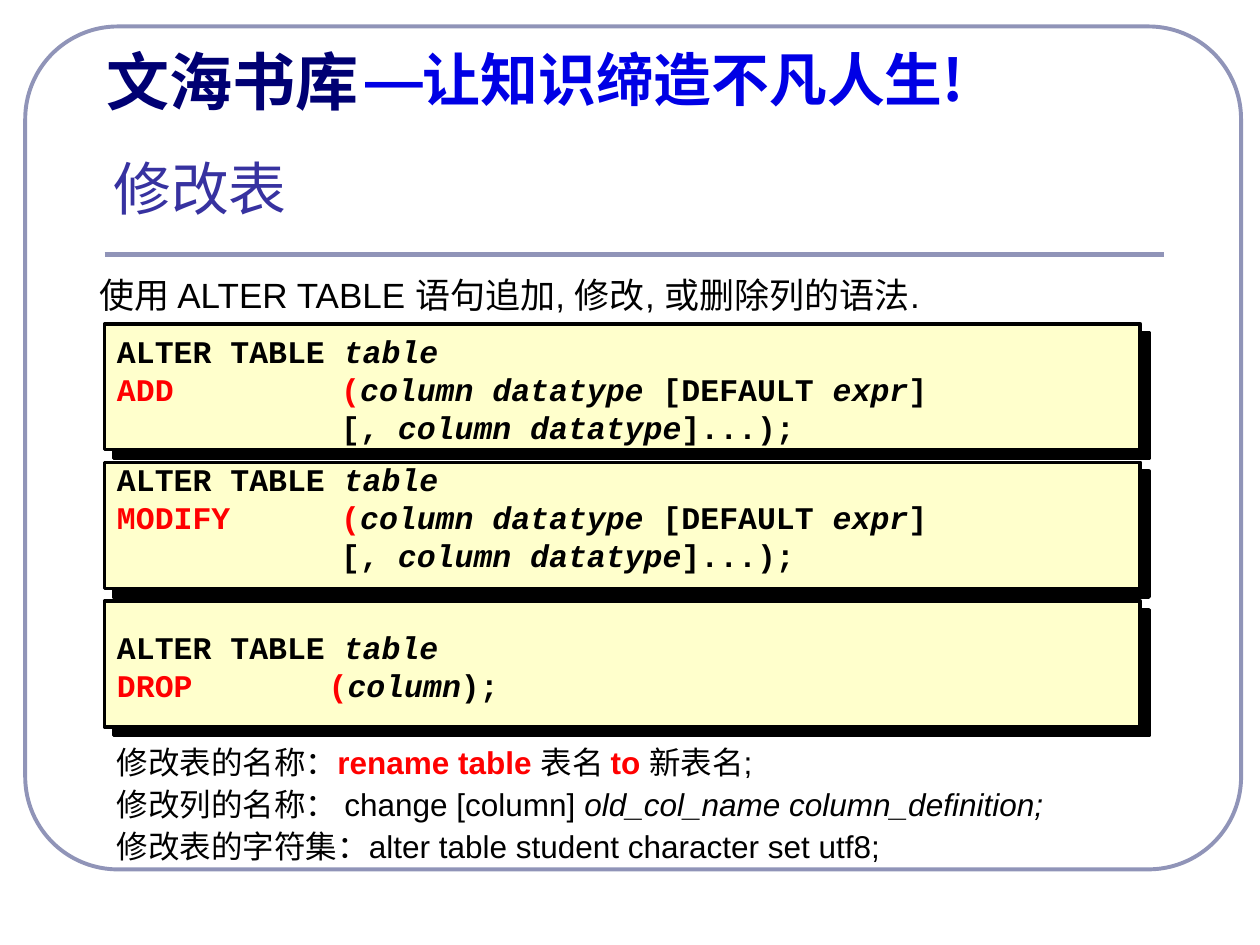
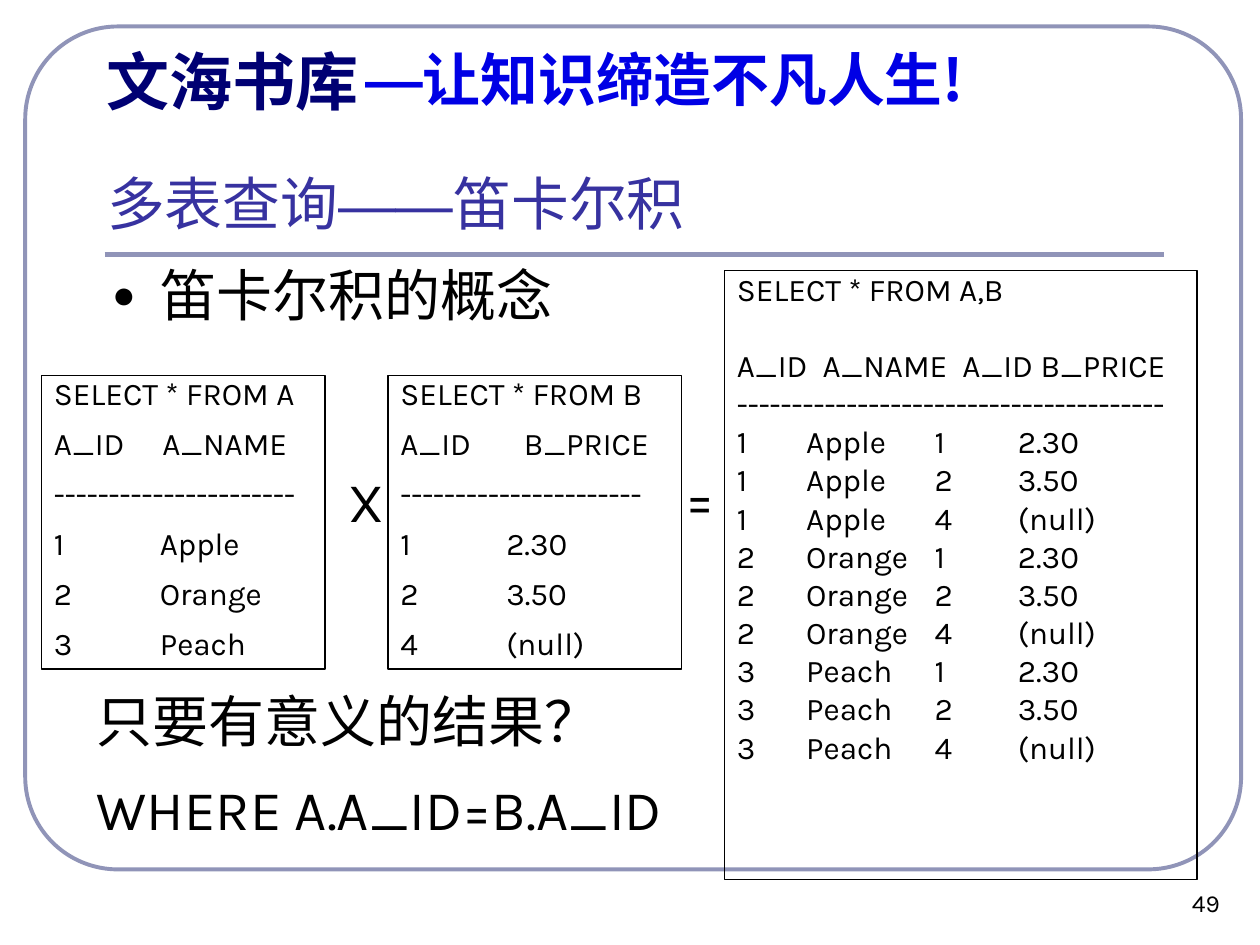
from lxml.etree import SubElement
from pptx import Presentation
from pptx.dml.color import RGBColor
from pptx.enum.shapes import MSO_CONNECTOR as LINE, MSO_SHAPE as SHAPE
from pptx.enum.text import MSO_ANCHOR as ANCHOR, MSO_AUTO_SIZE as FIT, PP_ALIGN as ALIGN
from pptx.oxml.ns import qn
from pptx.util import Inches, Pt

COLORS = {
    "band": "9094B8", "slogan": "0000E5", "name": "000073", "title": "3732A0",
    "text": "000000", "key": "FF0000", "panel": "FFFFCC",
}
CJK, SANS, CODE, BODY, HEAD = "Noto Sans CJK SC", "Arial", "Courier New", "Karla", "Montserrat"

# Shared header
NAME = "文海书库"
SLOGAN = [("—", {"font": HEAD, "ea": HEAD}), "让知识缔造不凡人生!"]

# Styles for single runs
KEY = {"color": "key"}
BOLD = {"color": "key", "bold": True}
ITAL = {"italic": True}
DASH = {"font": SANS, "ea": SANS}

# Slide 1: altering a table
ALTER = "修改表"
INTRO = "使用 ALTER TABLE 语句追加, 修改, 或删除列的语法."
FIRST = ["ALTER TABLE ", ("table", ITAL)]
COLUMN = [("column datatype ", ITAL), "[DEFAULT ", ("expr", ITAL), "]"]
MORE = ["\t[, ", ("column datatype", ITAL), "]...);"]
# panel top, code top, tab stop, lines
PANELS = [
    (2.57, 2.57, 1.78, [FIRST, [("ADD\t(", KEY), *COLUMN], MORE]),
    (3.67, 3.59, 1.78, [FIRST, [("MODIFY\t(", KEY), *COLUMN], MORE]),
    (4.77, 4.77, 1.68, [FIRST, [("DROP\t(", KEY), ("column", ITAL), ");"]]),
]
RENAMES = [
    ["修改表的名称：", ("rename table ", BOLD), "表名 ", ("to ", BOLD), "新表名;"],
    ["修改列的名称： change [column] ", ("old_col_name column_definition;", ITAL)],
    ["修改表的字符集：alter table student character set utf8;"],
]

# Slide 2: Cartesian product
PRODUCT = ["多表查询", ("——", DASH), "笛卡尔积"]
CONCEPT = "笛卡尔积的概念"
QUESTION = ["只要有意义的结果？", "WHERE A.A_ID=B.A_ID"]
FRUITS = [("1", "Apple"), ("2", "Orange"), ("3", "Peach")]
PRICES = [("1", "2.30"), ("2", "3.50"), ("4", "(null)")]
PAIRS = [fruit + price for fruit in FRUITS for price in PRICES]
# box, query, header, rows, rule length, header tabs, row tabs, space before, header space
RESULTS = [
    ((0.33, 2.98, 2.25, 2.33), "SELECT * FROM A", ("A_ID", "A_NAME"), FRUITS,
     22, [0.86], [0.84], 11.2, 11.2),
    ((3.08, 2.98, 2.33, 2.33), "SELECT * FROM B", ("A_ID", "B_PRICE"), PRICES,
     22, [0.98], [0.84], 11.2, 11.2),
    ((5.75, 2.15, 3.75, 4.83), "SELECT * FROM A,B", ("A_ID", "A_NAME", "A_ID", "B_PRICE"),
     PAIRS, 39, [0.68, 1.79, 2.41], [0.55, 1.57, 2.23], 4.5, 26.3),
]
SIGNS = [("X", 2.67, 3.76), ("=", 5.34, 3.73)]
PAGE = "49"


def rgb(name):
    return RGBColor.from_string(COLORS[name])


def place(shape, box):
    shape.left, shape.top, shape.width, shape.height = map(Inches, box)


def style(run, size, font, color="text", bold=False, italic=False, ea=CJK):
    face = run.font
    face.size, face.name, face.bold, face.italic = Pt(size), font, bold, italic
    face.color.rgb = rgb(color)
    SubElement(face._element, qn("a:ea"), typeface=ea)


def add_tabs(para, stops):
    tabs = SubElement(para._p.get_or_add_pPr(), qn("a:tabLst"))
    for stop in stops:
        SubElement(tabs, qn("a:tab"), pos=str(Inches(stop)), algn="l")


def add_bullet(para, char, indent):
    props = para._p.get_or_add_pPr()
    props.set("marL", str(Inches(indent)))
    props.set("indent", str(-Inches(indent)))
    SubElement(SubElement(props, qn("a:buClr")), qn("a:srgbClr"), val=COLORS["text"])
    SubElement(props, qn("a:buSzPct"), val="70000")
    SubElement(props, qn("a:buFont"), typeface=SANS)
    SubElement(props, qn("a:buChar"), char=char)


def write(shape, paras, size, font, color="text", bold=False, lead=1.0, gap=0,
          anchor=ANCHOR.TOP, align=ALIGN.LEFT, tabs=()):
    """Fill a shape; a paragraph is a string or a list of strings and (text, style) runs."""
    frame = shape.text_frame
    frame.word_wrap, frame.auto_size, frame.vertical_anchor = True, FIT.NONE, anchor
    for i, runs in enumerate(paras):
        para = frame.add_paragraph() if i else frame.paragraphs[0]
        if tabs:
            add_tabs(para, tabs)
        para.alignment, para.line_spacing = align, lead
        para.space_before = Pt(gap if i else 0)
        for item in [runs] if isinstance(runs, str) else runs:
            text, extra = (item, {}) if isinstance(item, str) else item
            run = para.add_run()
            run.text = text
            style(run, **{"size": size, "font": font, "color": color, "bold": bold, **extra})


def add_text(slide, box, paras, size, font, **options):
    shape = slide.shapes.add_textbox(*map(Inches, box))
    write(shape, paras, size, font, **options)
    return shape


def add_box(slide, kind, box, line, width, fill=None):
    shape = slide.shapes.add_shape(kind, *map(Inches, box))
    shape.shadow.inherit = False
    shape.line.color.rgb, shape.line.width = rgb(line), Pt(width)
    if fill:
        shape.fill.solid()
        shape.fill.fore_color.rgb = rgb(fill)
    else:
        shape.fill.background()
    return shape


def add_shadow(shape):
    effects = shape._element.spPr.find(qn("a:effectLst"))
    drop = SubElement(effects, qn("a:outerShdw"), dist=str(Pt(7.1)), dir="2700000",
                      algn="ctr", rotWithShape="0")
    SubElement(drop, qn("a:srgbClr"), val=COLORS["text"])


def dress(master, slide):
    """Build the frame, rule and header on a slide, then move them to the master."""
    frame = add_box(slide, SHAPE.ROUNDED_RECTANGLE, (0.2, 0.21, 9.65, 6.69), "band", 2.25)
    frame.adjustments[0] = 0.11
    rule = slide.shapes.add_connector(
        LINE.STRAIGHT, Inches(0.83), Inches(2.02), Inches(9.24), Inches(2.02))
    rule.line.color.rgb, rule.line.width = rgb("band"), Pt(3)
    SubElement(rule._element.spPr, qn("a:effectLst"))
    slogan = add_text(slide, (2.8, 0.36, 6.3, 0.6), [SLOGAN], 33, CJK,
                      color="slogan", bold=True, lead=0.9)
    name = add_text(slide, (0.75, 0.29, 2.68, 0.7), [NAME], 36, CJK, color="name", bold=True)
    for number, shape in enumerate((frame, rule, slogan, name), 20):
        shape.element.xpath(".//p:cNvPr")[0].set("id", str(number))
        master.shapes.element.append(shape.element)


def add_title(slide, box, runs, font, anchor):
    title = slide.shapes.title
    place(title, box)
    write(title, [runs], 33, font, color="title", anchor=anchor)


def build_alter(slide):
    add_title(slide, (0.8, 1.16, 8.5, 0.79), ALTER, CJK, ANCHOR.TOP)
    add_text(slide, (0.69, 2.17, 8.51, 0.38), [INTRO], 20, SANS, lead=0.85)
    for top, code_top, stop, lines in PANELS:
        panel = add_box(slide, SHAPE.RECTANGLE, (0.83, top, 8.22, 1), "text", 2, "panel")
        add_shadow(panel)
        add_text(slide, (0.83, code_top, 7.98, 1.03), lines, 18, CODE, bold=True,
                 anchor=ANCHOR.MIDDLE, tabs=[stop])
    add_text(slide, (0.83, 5.88, 8.27, 1.04), RENAMES, 18, SANS, lead=0.9, gap=4.5)


def build_product(slide):
    add_title(slide, (0.75, 0.36, 8.42, 1.57), PRODUCT, HEAD, ANCHOR.BOTTOM)
    body = slide.placeholders[1]
    place(body, (0.79, 2.02, 4.13, 4.48))
    add_bullet(body.text_frame.paragraphs[0], "●", 0.38)
    write(body, [CONCEPT], 32, SANS)
    add_text(slide, (0.67, 5.5, 4.92, 1.23), QUESTION, 32, BODY, lead=0.8, gap=20)
    for box, query, header, rows, dashes, head_tabs, row_tabs, gap, head_gap in RESULTS:
        result = add_box(slide, SHAPE.RECTANGLE, box, "text", 0.75)
        lines = [query, "\t".join(header), "-" * dashes, *map("\t".join, rows)]
        write(result, lines, 18, BODY, lead=0.8, gap=gap)
        paras = result.text_frame.paragraphs
        paras[1].space_before = Pt(head_gap)
        add_tabs(paras[1], head_tabs)
        for para in paras[3:]:
            add_tabs(para, row_tabs)
    for sign, left, top in SIGNS:
        add_text(slide, (left, top, 0.46, 0.53), [sign], 32, BODY, lead=0.8)
    add_text(slide, (7.7, 6.83, 2.08, 0.5), [PAGE], 14, BODY,
             anchor=ANCHOR.BOTTOM, align=ALIGN.RIGHT)


def main():
    deck = Presentation()
    deck.slide_width, deck.slide_height = Inches(10), Inches(7.5)
    alter = deck.slides.add_slide(deck.slide_layouts[5])
    product = deck.slides.add_slide(deck.slide_layouts[1])
    dress(deck.slide_master, alter)
    build_alter(alter)
    build_product(product)
    deck.save("out.pptx")


if __name__ == "__main__":
    main()
